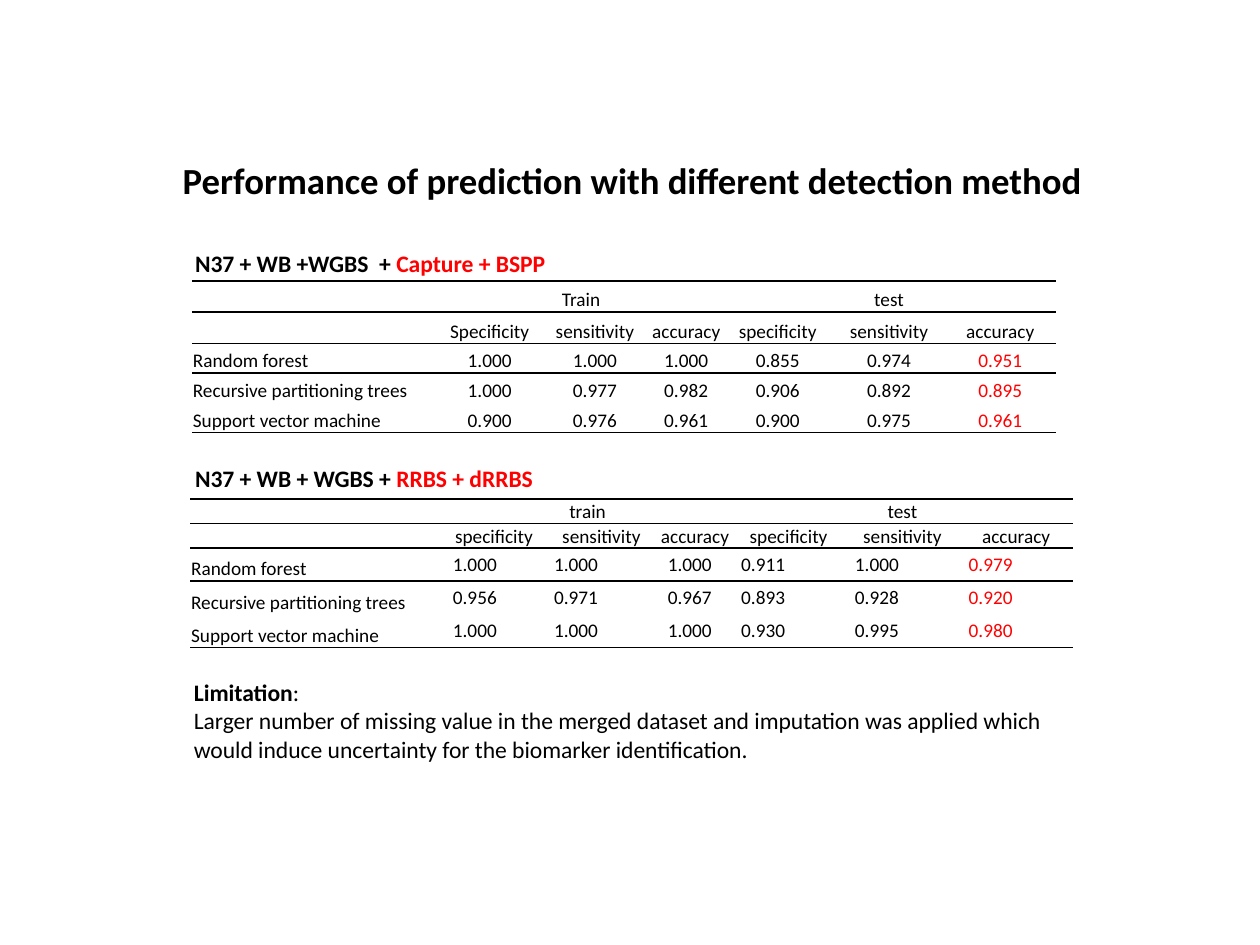
from pptx import Presentation
from pptx.dml.color import RGBColor
from pptx.enum.text import MSO_ANCHOR as ANCHOR, MSO_AUTO_SIZE as AUTO, PP_ALIGN as ALIGN
from pptx.oxml import parse_xml
from pptx.oxml.ns import nsdecls
from pptx.util import Pt

BLACK, RED = "000000", "FF0000"
MODELS = ["Random forest", "Recursive partitioning trees", "Support vector machine"]
MEASURES = ["specificity", "sensitivity", "accuracy"]
TITLE = "Performance of prediction with different detection method"
LIMITATION = [
    [("Limitation", BLACK, True), (":", BLACK, False)],
    [("Larger number of missing value in the merged dataset and imputation was applied "
      "which would induce uncertainty for the biomarker identification.", BLACK, False)],
]
TIGHT = dict(margin_left=Pt(0.6), margin_top=Pt(0.6), margin_right=Pt(0.6),
             margin_bottom=0, vertical_anchor=ANCHOR.BOTTOM)
LOOSE = dict(margin_left=Pt(5.4), margin_top=Pt(2.7), margin_right=Pt(5.4),
             margin_bottom=Pt(2.7), vertical_anchor=ANCHOR.MIDDLE)
PANELS = [
    dict(
        heading=[("N37 + WB +WGBS  + ", BLACK, True), ("Capture + BSPP", RED, True)],
        heading_box=(104.4, 138.6, 214.6, 23.8),
        groups=["Train", "test"],
        measures=["Specificity"] + MEASURES[1:] + MEASURES,
        values=[
            ["1.000", "1.000", "1.000", "0.855", "0.974", "0.951"],
            ["1.000", "0.977", "0.982", "0.906", "0.892", "0.895"],
            ["0.900", "0.976", "0.961", "0.900", "0.975", "0.961"],
        ],
        origin=(109.6, 160.6),
        widths=[141.8, 56.9, 63.4, 41] + [63.6] * 3,
        heights=[17.8, 17.8, 17.1, 17.1, 16.8],
        value_format=TIGHT, value_align=ALIGN.CENTER,
    ),
    dict(
        heading=[("N37 + WB + WGBS + ", BLACK, True), ("RRBS + dRRBS", RED, True)],
        heading_box=(104.4, 261.6, 210.2, 23.8),
        groups=["train", "test"],
        measures=MEASURES * 2,
        values=[
            ["1.000", "1.000", "1.000", "0.911", "1.000", "0.979"],
            ["0.956", "0.971", "0.967", "0.893", "0.928", "0.920"],
            ["1.000", "1.000", "1.000", "0.930", "0.995", "0.980"],
        ],
        origin=(108.6, 285.2),
        widths=[144.8, 57.8, 65, 42] + [65] * 3,
        heights=[14, 14, 19, 19, 19],
        value_format=LOOSE, value_align=ALIGN.LEFT,
    ),
]


def set_attrs(obj, values):
    for name, value in values.items():
        setattr(obj, name, value)


def add_run(p, text, size, color=BLACK, bold=False):
    r = p.add_run()
    r.text = text
    set_attrs(r.font, dict(size=Pt(size), name="Calibri", bold=bold))
    r.font.color.rgb = RGBColor.from_string(color)


def add_text(s, box, lines, wrap):
    tf = s.shapes.add_textbox(*map(Pt, box)).text_frame
    set_attrs(tf, dict(word_wrap=wrap, auto_size=AUTO.SHAPE_TO_FIT_TEXT))
    for i, line in enumerate(lines):
        p = tf.add_paragraph() if i else tf.paragraphs[0]
        for text, color, bold in line:
            add_run(p, text, 13.5, color, bold)


def set_borders(cell, ruled):
    tc_pr = cell._tc.get_or_add_tcPr()
    for side in "LRTB":
        fill = f'<a:solidFill><a:srgbClr val="{BLACK}"/></a:solidFill>' if side in ruled else "<a:noFill/>"
        tc_pr.append(parse_xml(f'<a:ln{side} {nsdecls("a")} w="{Pt(1)}">{fill}</a:ln{side}>'))
    cell.fill.background()


def add_panel(s, panel):
    add_text(s, panel["heading_box"], [panel["heading"]], False)
    train, test = panel["groups"]
    rows = [["", train, "", "", test, "", ""], [""] + panel["measures"]]
    rows += [[model] + values for model, values in zip(MODELS, panel["values"])]
    widths, heights = panel["widths"], panel["heights"]
    size = (sum(widths), sum(heights))
    table = s.shapes.add_table(len(rows), len(widths), *map(Pt, panel["origin"] + size)).table
    set_attrs(table, dict(first_row=False, horz_banding=False))
    for col, width in zip(table.columns, widths):
        col.width = Pt(width)
    for row, height in zip(table.rows, heights):
        row.height = Pt(height)
    for first in (1, 4):
        table.cell(0, first).merge(table.cell(0, first + 2))
    last_col = len(widths) - 1
    for i, row in enumerate(rows):
        ruled = ("T" if i < 4 else "") + ("B" if i != 3 else "")
        for j, text in enumerate(row):
            cell = table.cell(i, j)
            is_value = i > 1 and j > 0
            set_attrs(cell, panel["value_format"] if is_value else TIGHT)
            set_borders(cell, ruled)
            p = cell.text_frame.paragraphs[0]
            p.alignment = panel["value_align"] if is_value else ALIGN.CENTER if j else ALIGN.LEFT
            if text:
                add_run(p, text, 11, RED if is_value and j == last_col else BLACK)
            else:
                p._p.append(parse_xml(f'<a:endParaRPr {nsdecls("a")} sz="1100"/>'))


def main():
    prs = Presentation()
    set_attrs(prs, dict(slide_width=Pt(720), slide_height=Pt(540)))
    s = prs.slides.add_slide(prs.slide_layouts[5])
    title = s.shapes.title
    set_attrs(title, dict(left=Pt(97.2), top=Pt(86.4), width=Pt(550.8), height=Pt(32.4)))
    set_attrs(title.text_frame, dict(word_wrap=True, vertical_anchor=ANCHOR.TOP, auto_size=AUTO.NONE))
    p = title.text_frame.paragraphs[0]
    p.alignment = ALIGN.LEFT
    add_run(p, TITLE, 21, bold=True)
    for panel in PANELS:
        add_panel(s, panel)
    add_text(s, (103.7, 383.8, 502.6, 56.2), LIMITATION, True)
    prs.save("out.pptx")


if __name__ == "__main__":
    main()
